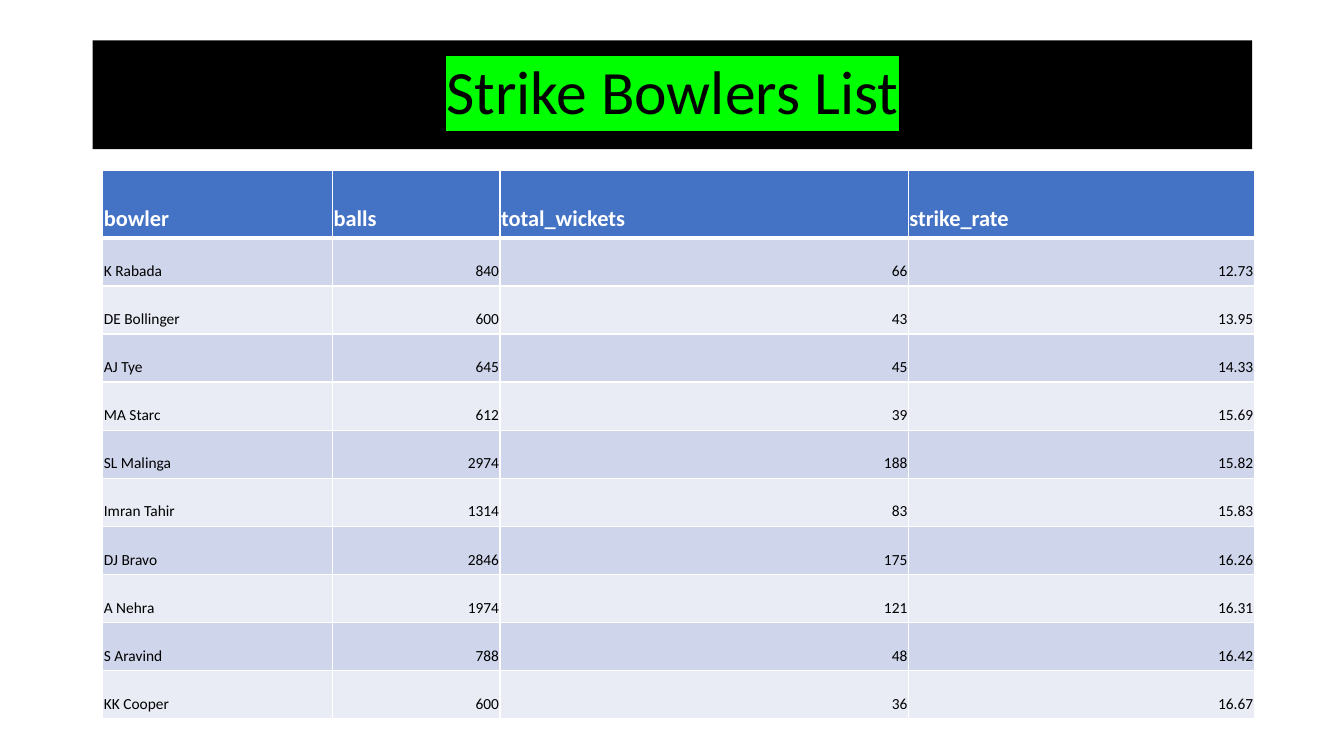
from dataclasses import dataclass

from lxml import etree
from pptx import Presentation
from pptx.dml.color import RGBColor
from pptx.enum.shapes import MSO_SHAPE
from pptx.enum.text import MSO_ANCHOR, PP_ALIGN
from pptx.oxml.ns import qn
from pptx.util import Inches, Pt

RECTANGLE = MSO_SHAPE.RECTANGLE
MIDDLE, BOTTOM = MSO_ANCHOR.MIDDLE, MSO_ANCHOR.BOTTOM
LEFT, CENTER, RIGHT = PP_ALIGN.LEFT, PP_ALIGN.CENTER, PP_ALIGN.RIGHT


@dataclass(frozen=True)
class Theme:
    font: str = "Calibri"
    black: str = "000000"
    white: str = "FFFFFF"
    highlight: str = "00FF00"
    header_fill: str = "4472C4"
    band_fills: tuple = ("CFD5EA", "E9EBF5")
    title_size: int = 44
    header_size: int = 16
    body_size: int = 11
    rule: int = 1
    header_rule: int = 3


THEME = Theme()

HEADINGS = ("bowler", "balls", "total_wickets", "strike_rate")
BOWLERS = (
    ("K Rabada", 840, 66, 12.73),
    ("DE Bollinger", 600, 43, 13.95),
    ("AJ Tye", 645, 45, 14.33),
    ("MA Starc", 612, 39, 15.69),
    ("SL Malinga", 2974, 188, 15.82),
    ("Imran Tahir", 1314, 83, 15.83),
    ("DJ Bravo", 2846, 175, 16.26),
    ("A Nehra", 1974, 121, 16.31),
    ("S Aravind", 788, 48, 16.42),
    ("KK Cooper", 600, 36, 16.67),
)
COLUMN_WIDTHS = (2.28, 1.66, 4.05, 3.43)
TABLE_HEIGHT = 5.44
HEADER_HEIGHT = 0.67


def add_text(paragraph, text, size, color, align, bold=False):
    paragraph.alignment = align
    run = paragraph.add_run()
    run.text = text
    run.font.size = Pt(size)
    run.font.bold = bold
    run.font.name = THEME.font
    run.font.color.rgb = RGBColor.from_string(color)
    return run


def highlight(run, color):
    marker = etree.Element(qn("a:highlight"))
    etree.SubElement(marker, qn("a:srgbClr"), val=color)
    run.font._element.find(qn("a:solidFill")).addnext(marker)


def set_borders(cell, top, bottom):
    properties = cell._tc.get_or_add_tcPr()
    sides = {"L": THEME.rule, "R": THEME.rule, "T": top, "B": bottom}
    for side, width in sides.items():
        line = etree.SubElement(properties, qn(f"a:ln{side}"), w=str(Pt(width)))
        fill = etree.SubElement(line, qn("a:solidFill"))
        etree.SubElement(fill, qn("a:srgbClr"), val=THEME.white)


def fill_cell(cell, text, fill, size, color, align, bold, top, bottom):
    set_borders(cell, top, bottom)
    cell.fill.solid()
    cell.fill.fore_color.rgb = RGBColor.from_string(fill)
    cell.vertical_anchor = BOTTOM
    cell.margin_left = cell.margin_top = cell.margin_right = Inches(0.01)
    cell.margin_bottom = Inches(0.05)
    add_text(cell.text_frame.paragraphs[0], text, size, color, align, bold)


def add_title(slide, text):
    banner = slide.shapes.add_shape(
        RECTANGLE, Inches(0.92), Inches(0.4), Inches(11.5), Inches(1.08))
    banner.shadow.inherit = False
    banner.fill.solid()
    banner.fill.fore_color.rgb = RGBColor.from_string(THEME.black)
    banner.line.fill.background()
    banner.text_frame.word_wrap = True
    banner.text_frame.vertical_anchor = MIDDLE
    paragraph = banner.text_frame.paragraphs[0]
    paragraph.line_spacing = 0.9
    title = add_text(paragraph, text, THEME.title_size, THEME.black, CENTER)
    highlight(title, THEME.highlight)


def add_bowler_table(slide):
    table = slide.shapes.add_table(
        len(BOWLERS) + 1, len(HEADINGS), Inches(1.02), Inches(1.69),
        Inches(sum(COLUMN_WIDTHS)), Inches(TABLE_HEIGHT)).table
    for column, width in zip(table.columns, COLUMN_WIDTHS):
        column.width = Inches(width)
    for row in table.rows:
        row.height = Inches((TABLE_HEIGHT - HEADER_HEIGHT) / len(BOWLERS))
    table.rows[0].height = Inches(HEADER_HEIGHT)

    for column, heading in enumerate(HEADINGS):
        fill_cell(table.cell(0, column), heading, THEME.header_fill,
                  THEME.header_size, THEME.white, LEFT, True,
                  THEME.rule, THEME.header_rule)
    for row, bowler in enumerate(BOWLERS, start=1):
        band = THEME.band_fills[(row - 1) % 2]
        top = THEME.header_rule if row == 1 else THEME.rule
        for column, value in enumerate(bowler):
            fill_cell(table.cell(row, column), str(value), band,
                      THEME.body_size, THEME.black, RIGHT if column else LEFT,
                      False, top, THEME.rule)


def main():
    deck = Presentation()
    deck.slide_width, deck.slide_height = Inches(13.33), Inches(7.5)
    slide = deck.slides.add_slide(deck.slide_layouts[6])
    add_title(slide, "Strike Bowlers List")
    add_bowler_table(slide)
    deck.save("out.pptx")


if __name__ == "__main__":
    main()
